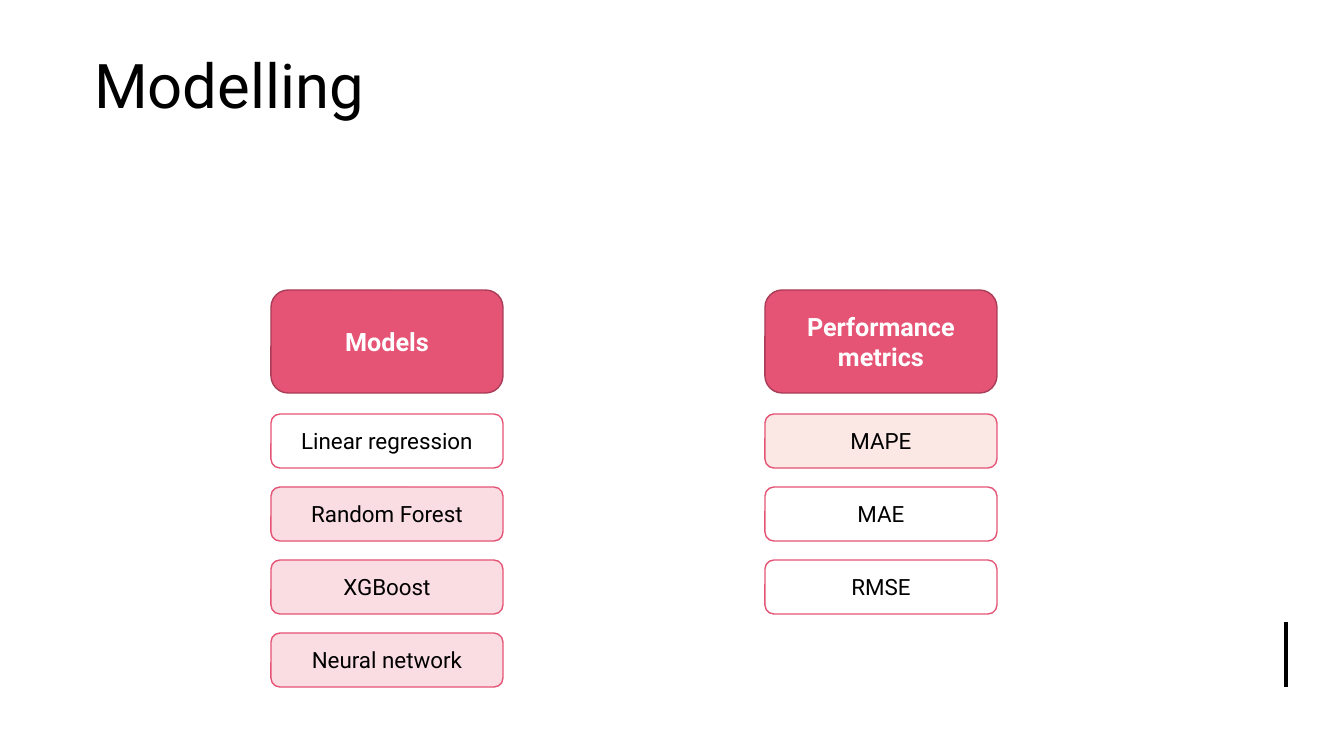
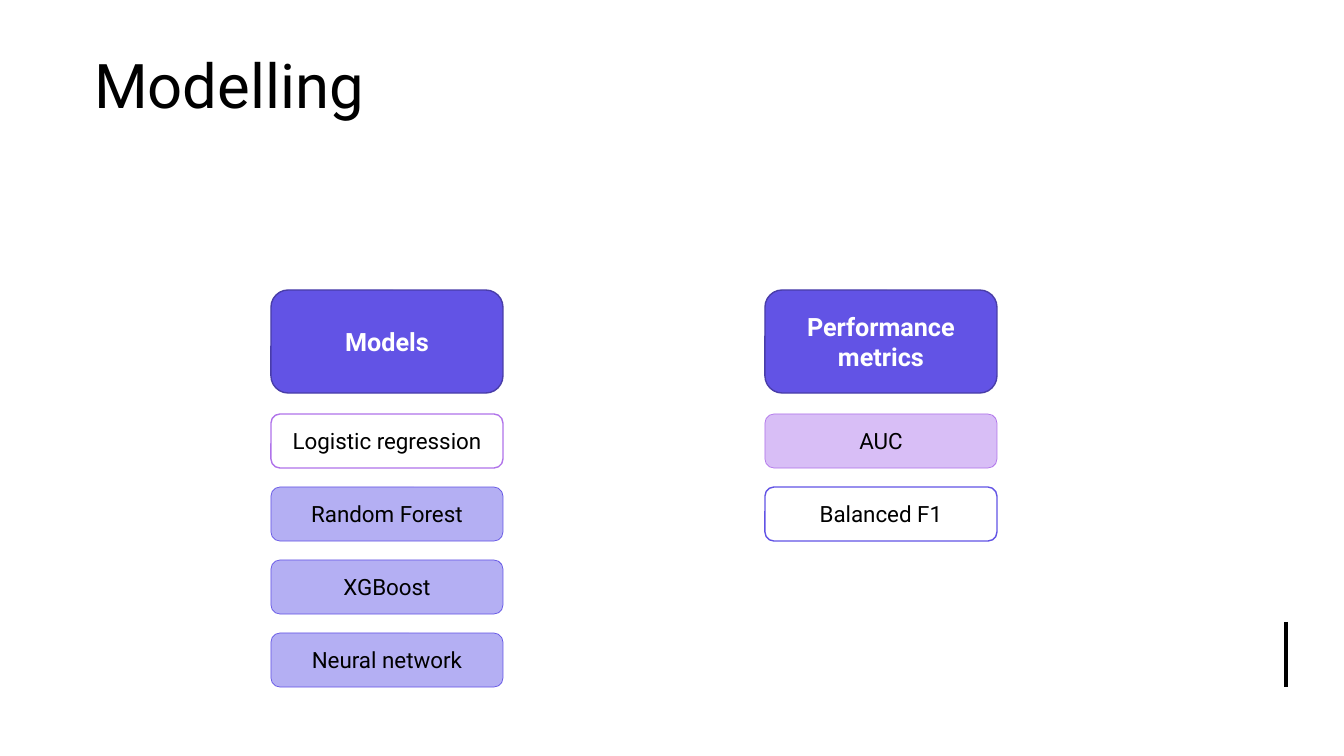
"""Build two modelling slides with columns of models and performance metrics."""
from lxml import etree
from pptx import Presentation
from pptx.dml.color import RGBColor
from pptx.enum.shapes import MSO_CONNECTOR, MSO_SHAPE
from pptx.enum.text import MSO_ANCHOR, PP_ALIGN
from pptx.oxml.ns import qn
from pptx.util import Emu, Pt

ROUNDED = MSO_SHAPE.ROUNDED_RECTANGLE
STRAIGHT = MSO_CONNECTOR.STRAIGHT
MIDDLE = MSO_ANCHOR.MIDDLE
LEFT, CENTER = PP_ALIGN.LEFT, PP_ALIGN.CENTER

BLACK = RGBColor(0x00, 0x00, 0x00)
WHITE = RGBColor(0xFF, 0xFF, 0xFF)
PINK = RGBColor(0xE5, 0x53, 0x75)
DARK_PINK = RGBColor(0xA9, 0x3D, 0x57)
PALE_PINK = RGBColor(0xFA, 0xDD, 0xE3)
PALE_PEACH = RGBColor(0xFB, 0xE7, 0xE3)
INDIGO = RGBColor(0x62, 0x53, 0xE5)
DARK_INDIGO = RGBColor(0x49, 0x3D, 0xA9)
PALE_INDIGO = RGBColor(0xB4, 0xAF, 0xF3)
PURPLE = RGBColor(0xB0, 0x73, 0xEA)
PALE_PURPLE = RGBColor(0xD8, 0xBE, 0xF6)

PX_PER_INCH = 100.8
SLIDE_SIZE = (1344, 756)
TITLE_BOX = (84, 37, 1144, 103)
SIDE_BAR = (1286, 622, 1286, 687)
COLUMN_LEFTS = (271, 765)
COLUMN_WIDTH = 232
HEADER_TOP, HEADER_HEIGHT = 290, 103
ROW_TOP, ROW_HEIGHT, ROW_STEP = 414, 54, 73

TITLE_FONT = {"name": "Roboto", "size": Pt(44), "bold": False}
HEADER_FONT = {"name": "Roboto", "size": Pt(18), "bold": True}
ROW_FONT = {"name": "Roboto", "size": Pt(16), "bold": False}

SLIDES = [
    {
        "header": (PINK, DARK_PINK),
        "columns": [
            ("Models", [
                ("Linear regression", None, PINK, 1),
                ("Random Forest", PALE_PINK, PINK, 1),
                ("XGBoost", PALE_PINK, PINK, 1),
                ("Neural network", PALE_PINK, PINK, 1),
            ]),
            ("Performance metrics", [
                ("MAPE", PALE_PEACH, PINK, 1),
                ("MAE", None, PINK, 1),
                ("RMSE", None, PINK, 1),
            ]),
        ],
    },
    {
        "header": (INDIGO, DARK_INDIGO),
        "columns": [
            ("Models", [
                ("Logistic regression", WHITE, PURPLE, 1),
                ("Random Forest", PALE_INDIGO, INDIGO, 0.5),
                ("XGBoost", PALE_INDIGO, INDIGO, 0.5),
                ("Neural network", PALE_INDIGO, INDIGO, 0.5),
            ]),
            ("Performance metrics", [
                ("AUC", PALE_PURPLE, PURPLE, 0.5),
                ("Balanced F1", WHITE, INDIGO, 1),
            ]),
        ],
    },
]


def px(*lengths):
    return [Emu(round(length * 914400 / PX_PER_INCH)) for length in lengths]


def write_text(shape, text, font_values, color, alignment):
    frame = shape.text_frame
    frame.word_wrap = True
    frame.vertical_anchor = MIDDLE
    para = frame.paragraphs[0]
    para.alignment = alignment
    span = para.add_run()
    span.text = text
    for name, value in font_values.items():
        setattr(span.font, name, value)
    span.font.color.rgb = color
    return para


deck = Presentation()
deck.slide_width, deck.slide_height = px(*SLIDE_SIZE)
title_only = deck.slide_layouts[5]

for content in SLIDES:
    page = deck.slides.add_slide(title_only)

    bar = page.shapes.add_connector(STRAIGHT, *px(*SIDE_BAR))
    bar.line.color.rgb = BLACK
    bar.line.width = Pt(3)
    etree.SubElement(bar._element.spPr, qn("a:effectLst"))

    title = page.shapes.title
    title.left, title.top, title.width, title.height = px(*TITLE_BOX)
    title_para = write_text(title, "Modelling", TITLE_FONT, BLACK, LEFT)
    title_para.line_spacing = 0.9

    header_fill, header_line = content["header"]
    for left, (heading, rows) in zip(COLUMN_LEFTS, content["columns"]):
        boxes = [(heading, header_fill, header_line, 1, HEADER_TOP, HEADER_HEIGHT, HEADER_FONT, WHITE)]
        for index, row in enumerate(rows):
            boxes.append((*row, ROW_TOP + index * ROW_STEP, ROW_HEIGHT, ROW_FONT, BLACK))

        for text, fill, line, weight, top, height, font_values, color in boxes:
            box = page.shapes.add_shape(ROUNDED, *px(left, top, COLUMN_WIDTH, height))
            box.shadow.inherit = False
            if fill is None:
                box.fill.background()
            else:
                box.fill.solid()
                box.fill.fore_color.rgb = fill
            box.line.color.rgb = line
            box.line.width = Pt(weight)
            write_text(box, text, font_values, color, CENTER)

deck.save("out.pptx")
